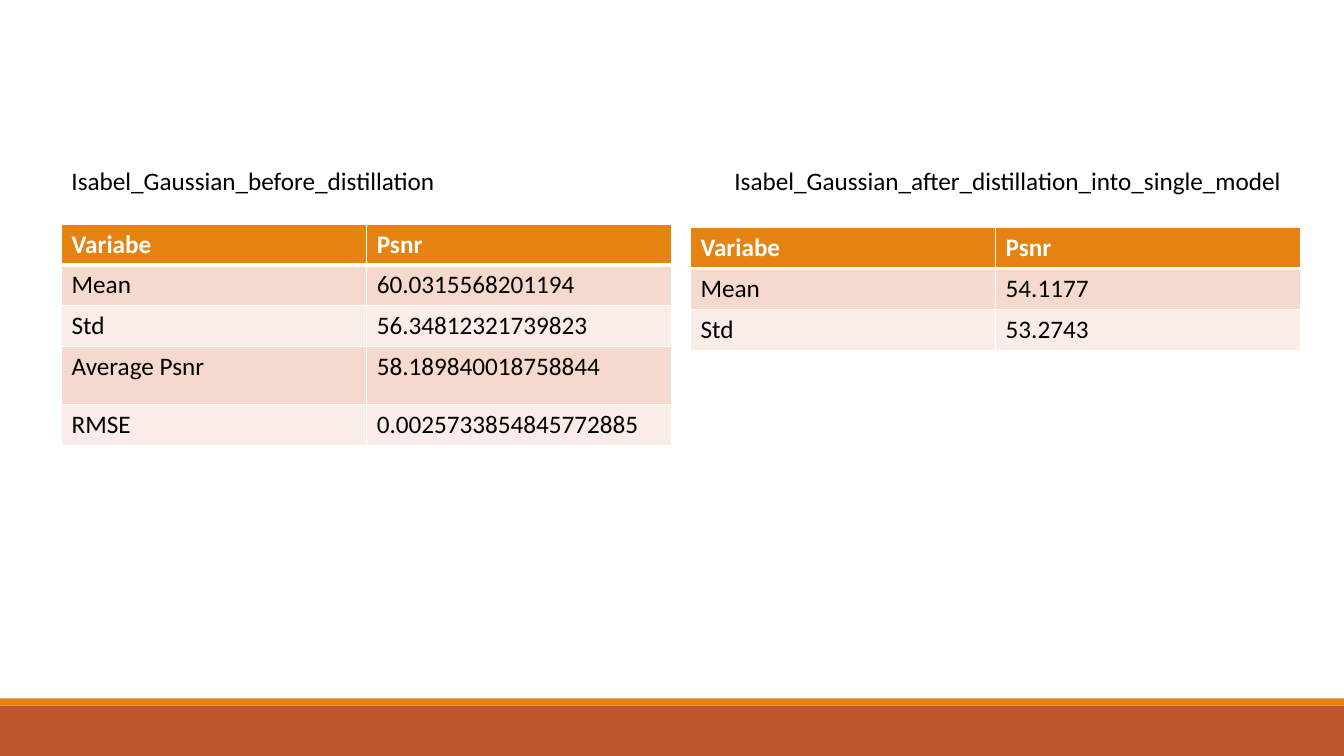
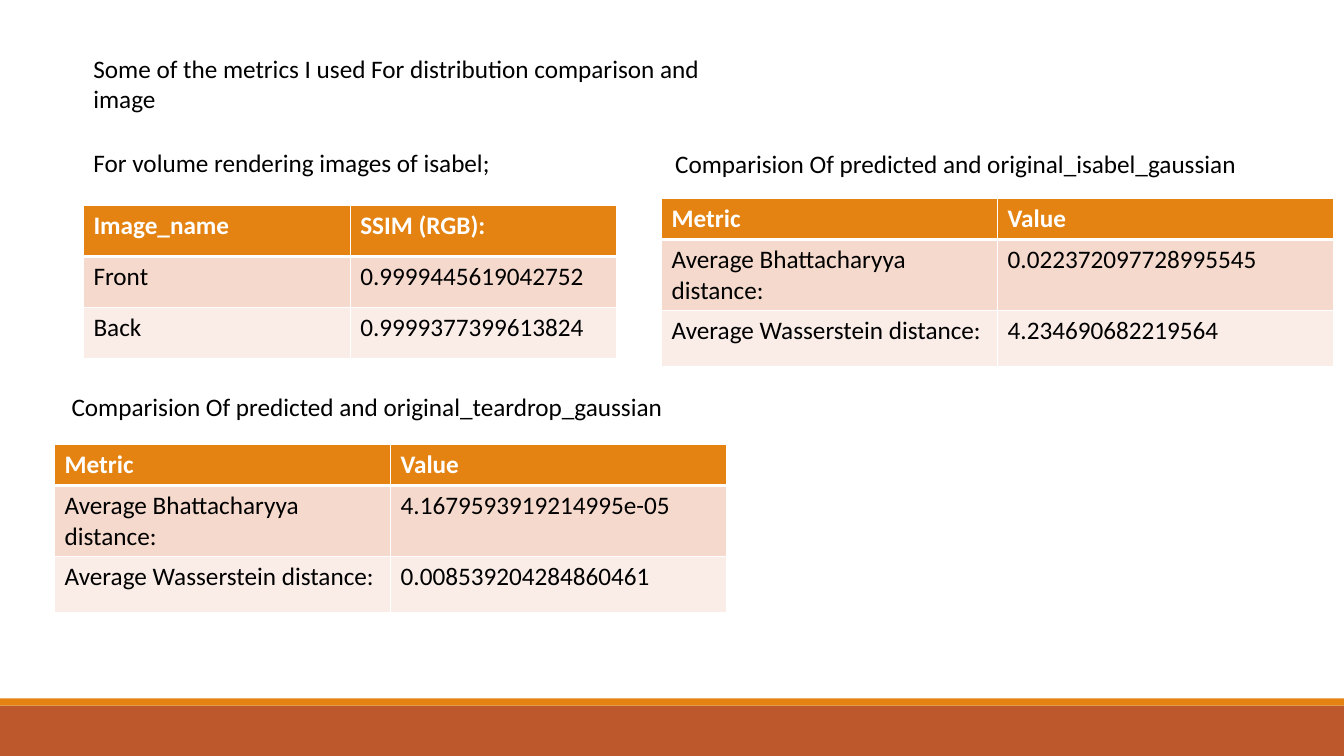
from lxml import etree
from pptx import Presentation
from pptx.dml.color import RGBColor
from pptx.enum.shapes import MSO_SHAPE
from pptx.enum.text import MSO_ANCHOR, MSO_AUTO_SIZE
from pptx.oxml.ns import qn
from pptx.util import Pt

RECTANGLE = MSO_SHAPE.RECTANGLE
TOP = MSO_ANCHOR.TOP
GROW = MSO_AUTO_SIZE.SHAPE_TO_FIT_TEXT

WIDTH, HEIGHT = 960, 540
ROW = 29.2
FONT, SIZE = "Calibri", 18
COLORS = {
    "text": "000000",
    "white": "FFFFFF",
    "accent": "E48312",
    "footer": "BD582C",
    "odd_row": "F5D9CC",
    "even_row": "FAEDE7",
}


class Deck:
    """Holds the presentation style and the slide being built."""

    def __init__(self):
        self.presentation = Presentation()
        self.presentation.slide_width = Pt(WIDTH)
        self.presentation.slide_height = Pt(HEIGHT)
        self.slide = None

    def new_slide(self):
        self.slide = self.presentation.slides.add_slide(self.presentation.slide_layouts[6])
        background = self.slide.background.fill
        background.solid()
        background.fore_color.rgb = RGBColor.from_string(COLORS["white"])
        self.band(504, 36, "footer")
        self.band(498.8, 5.2, "accent")

    def band(self, top, height, color):
        band = self.slide.shapes.add_shape(RECTANGLE, 0, Pt(top), Pt(WIDTH), Pt(height))
        band.shadow.inherit = False
        band.fill.solid()
        band.fill.fore_color.rgb = RGBColor.from_string(COLORS[color])
        band.line.fill.background()

    def add_text(self, frame, text, color="text", bold=False):
        run = frame.paragraphs[0].add_run()
        run.text = text
        run.font.name = FONT
        run.font.size = Pt(SIZE)
        run.font.bold = bold
        run.font.color.rgb = RGBColor.from_string(COLORS[color])

    def caption(self, left, top, width, text, height=ROW):
        box = self.slide.shapes.add_textbox(Pt(left), Pt(top), Pt(width), Pt(height))
        box.text_frame.word_wrap = True
        box.text_frame.auto_size = GROW
        self.add_text(box.text_frame, text)

    def border(self, cell, top, bottom):
        properties = cell._tc.get_or_add_tcPr()
        sides = (("a:lnL", 1), ("a:lnR", 1), ("a:lnT", top), ("a:lnB", bottom))
        for position, (side, width) in enumerate(sides):
            line = etree.Element(qn(side), w=str(Pt(width)))
            fill = etree.SubElement(line, qn("a:solidFill"))
            etree.SubElement(fill, qn("a:srgbClr"), val=COLORS["white"])
            properties.insert(position, line)

    def table(self, left, top, column_width, row_heights, rows):
        columns = len(rows[0])
        frame = self.slide.shapes.add_table(
            len(rows), columns, Pt(left), Pt(top),
            Pt(column_width * columns), Pt(sum(row_heights)))
        table = frame.table
        table.horz_banding = False
        for column in table.columns:
            column.width = Pt(column_width)
        for index, (values, height) in enumerate(zip(rows, row_heights)):
            header = index == 0
            fill = "accent" if header else "odd_row" if index % 2 else "even_row"
            table.rows[index].height = Pt(height)
            for cell, value in zip(table.rows[index].cells, values):
                cell.vertical_anchor = TOP
                cell.fill.solid()
                cell.fill.fore_color.rgb = RGBColor.from_string(COLORS[fill])
                self.border(cell, 3 if index == 1 else 1, 3 if header else 1)
                self.add_text(cell.text_frame, value, "white" if header else "text", header)

    def distances(self, left, top, bhattacharyya, wasserstein):
        self.table(left, top, 240, [ROW, 50.6, 40.3], [
            ("Metric", "Value"),
            ("Average Bhattacharyya distance:", bhattacharyya),
            ("Average Wasserstein distance:", wasserstein),
        ])


def distillation_slide(deck):
    deck.new_slide()
    deck.table(44, 160, 218, [ROW, ROW, ROW, 41.2, ROW], [
        ("Variabe", "Psnr"),
        ("Mean", "60.0315568201194"),
        ("Std", "56.34812321739823"),
        ("Average Psnr", "58.189840018758844"),
        ("RMSE", "0.0025733854845772885"),
    ])
    deck.caption(44, 114.5, 412, "Isabel_Gaussian_before_distillation")
    deck.table(493.2, 162.5, 218, [ROW] * 3, [
        ("Variabe", "Psnr"),
        ("Mean", "54.1177"),
        ("Std", "53.2743"),
    ])
    deck.caption(517.5, 114.5, 412, "Isabel_Gaussian_after_distillation_into_single_model")


def metrics_slide(deck):
    deck.new_slide()
    deck.caption(59.6, 34.5, 474.5,
                 "Some of the metrics I used For distribution comparison and image", 51)
    deck.table(59.6, 146.8, 190.6, [36.5] * 3, [
        ("Image_name", "SSIM (RGB):"),
        ("Front", "0.9999445619042752"),
        ("Back", "0.9999377399613824"),
    ])
    deck.caption(59.6, 101.5, 306, "For volume rendering images of isabel;")
    deck.distances(39, 317.5, "4.1679593919214995e-05", "0.008539204284860461")
    deck.distances(472.6, 141.8, "0.022372097728995545", "4.234690682219564")
    deck.caption(475.2, 102.2, 474.5, "Comparision Of predicted and original_isabel_gaussian")
    deck.caption(44, 275.8, 474.5, "Comparision Of predicted and original_teardrop_gaussian")


def main():
    deck = Deck()
    distillation_slide(deck)
    metrics_slide(deck)
    deck.presentation.save("out.pptx")


if __name__ == "__main__":
    main()
